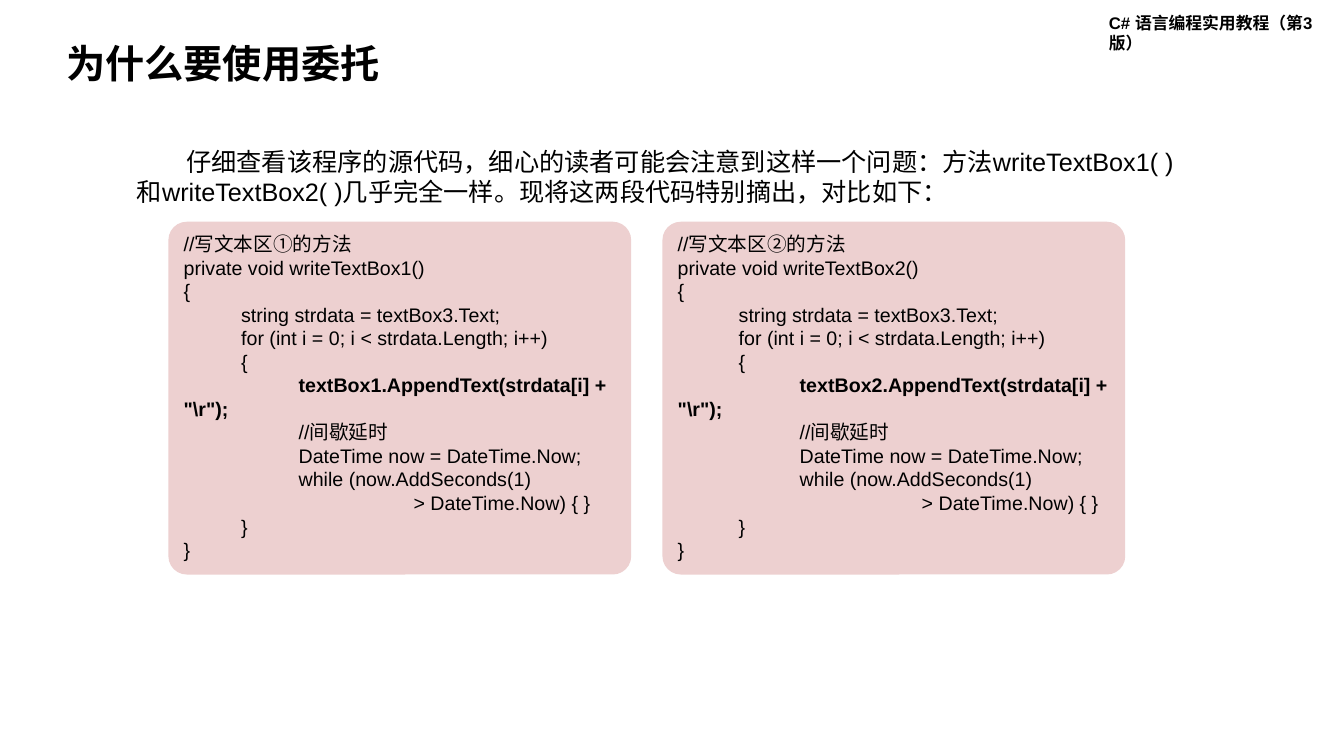
from lxml import etree
from pptx import Presentation
from pptx.dml.color import RGBColor
from pptx.enum import shapes, text
from pptx.oxml import ns
from pptx.util import Inches, Pt

BLACK = RGBColor(0x00, 0x00, 0x00)
PINK = RGBColor(0xED, 0xD0, 0xD0)


def add_span(para, words, size, bold=False):
    span = para.add_run()
    span.text = words
    font_format = {"name": "Arial", "size": Pt(size), "bold": bold}
    for name, value in font_format.items():
        setattr(span.font, name, value)
    span.font.color.rgb = BLACK


def add_tab_stops(para, step, count):
    properties = para._p.get_or_add_pPr()
    tab_list = etree.SubElement(properties, ns.qn("a:tabLst"))
    for number in range(1, count + 1):
        position = str(Inches(step * number))
        etree.SubElement(tab_list, ns.qn("a:tab"), pos=position, algn="l")


deck = Presentation()
deck.slide_width = Inches(13.33)
deck.slide_height = Inches(7.5)
page = deck.slides.add_slide(deck.slide_layouts[6])

# Book name, title and introduction: place, size, bold, indent, spacing, anchor
TOP, MIDDLE = text.MSO_ANCHOR.TOP, text.MSO_ANCHOR.MIDDLE
text_boxes = [
    ("C# 语言编程实用教程（第3版）",
     (10.9, 0.08, 2.44, 0.3), 12, True, 0, 1, TOP),
    ("为什么要使用委托",
     (0.56, 0.39, 3.35, 0.52), 28, True, 0, 0.9, MIDDLE),
    ("仔细查看该程序的源代码，细心的读者可能会注意到这样一个问题："
     "方法writeTextBox1( )和writeTextBox2( )几乎完全一样。"
     "现将这两段代码特别摘出，对比如下：",
     (1.26, 1.4, 10.59, 0.71), 18, False, 0.49, 1, TOP),
]
for words, place, size, bold, indent, spacing, anchor in text_boxes:
    box = page.shapes.add_textbox(*map(Inches, place))
    box.text_frame.word_wrap = True
    box.text_frame.vertical_anchor = anchor
    para = box.text_frame.paragraphs[0]
    para.line_spacing = spacing
    if indent:
        para._p.get_or_add_pPr().set("indent", str(Inches(indent)))
    add_span(para, words, size, bold)

# Two code panels: left edge, circled number, method number, tab step
panels = [(1.67, "①", 1, 0.57), (6.57, "②", 2, 0.605)]
for left, mark, number, tab_step in panels:
    panel = page.shapes.add_shape(
        shapes.MSO_SHAPE.ROUNDED_RECTANGLE,
        Inches(left), Inches(2.2), Inches(4.59), Inches(3.5))
    panel.adjustments[0] = 0.052
    panel.shadow.inherit = False
    panel.fill.solid()
    panel.fill.fore_color.rgb = PINK
    panel.line.fill.background()
    frame = panel.text_frame
    frame.word_wrap = True
    frame.vertical_anchor = TOP

    # Code lines: tab depth, text, bold
    code = [
        (0, f"//写文本区{mark}的方法", False),
        (0, f"private void writeTextBox{number}()", False),
        (0, "{", False),
        (1, "string strdata = textBox3.Text;", False),
        (1, "for (int i = 0; i < strdata.Length; i++)", False),
        (1, "{", False),
        (2, rf'textBox{number}.AppendText(strdata[i] + "\r");', True),
        (2, "//间歇延时", False),
        (2, "DateTime now = DateTime.Now;", False),
        (2, "while (now.AddSeconds(1)", False),
        (4, "> DateTime.Now) { }", False),
        (1, "}", False),
        (0, "}", False),
    ]
    for row, (depth, words, bold) in enumerate(code):
        para = frame.add_paragraph() if row else frame.paragraphs[0]
        para.alignment = text.PP_ALIGN.LEFT
        if depth:
            add_tab_stops(para, tab_step, depth)
            add_span(para, "\t" * depth, 14)
        add_span(para, words, 14, bold)

deck.save("out.pptx")
